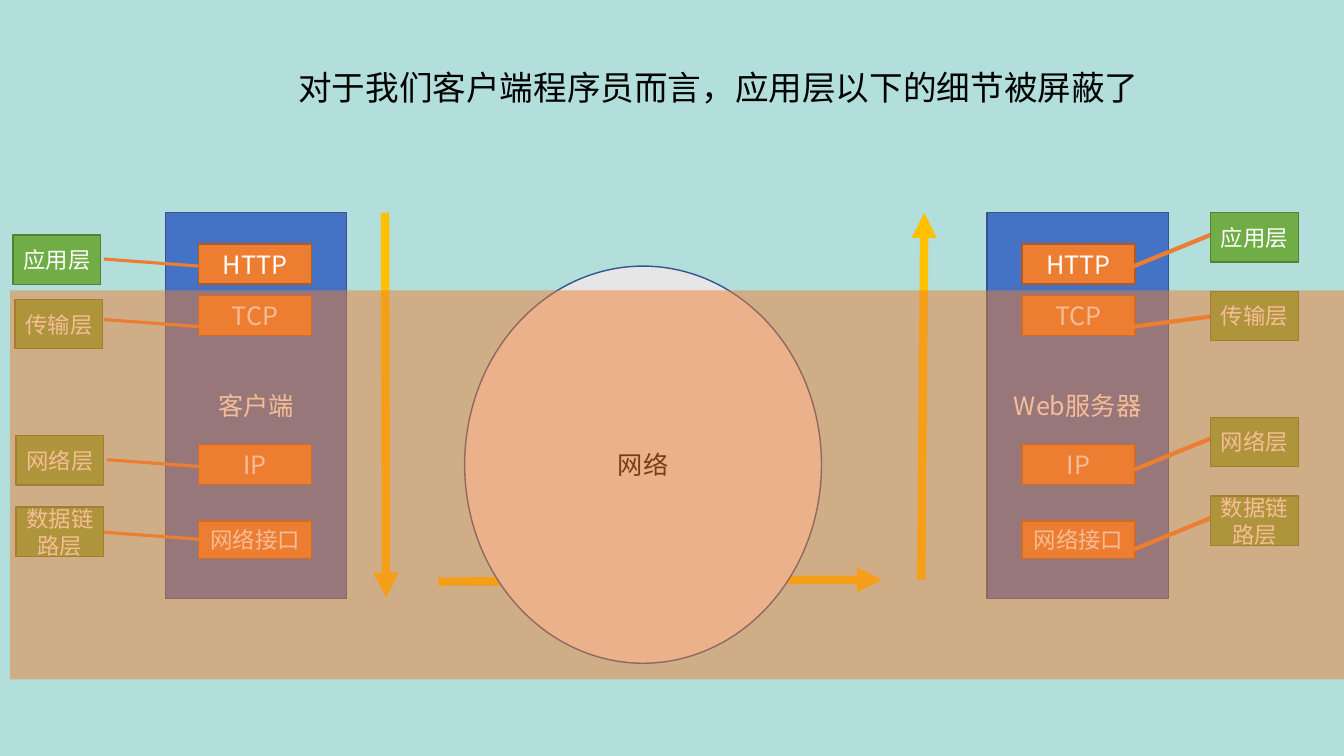
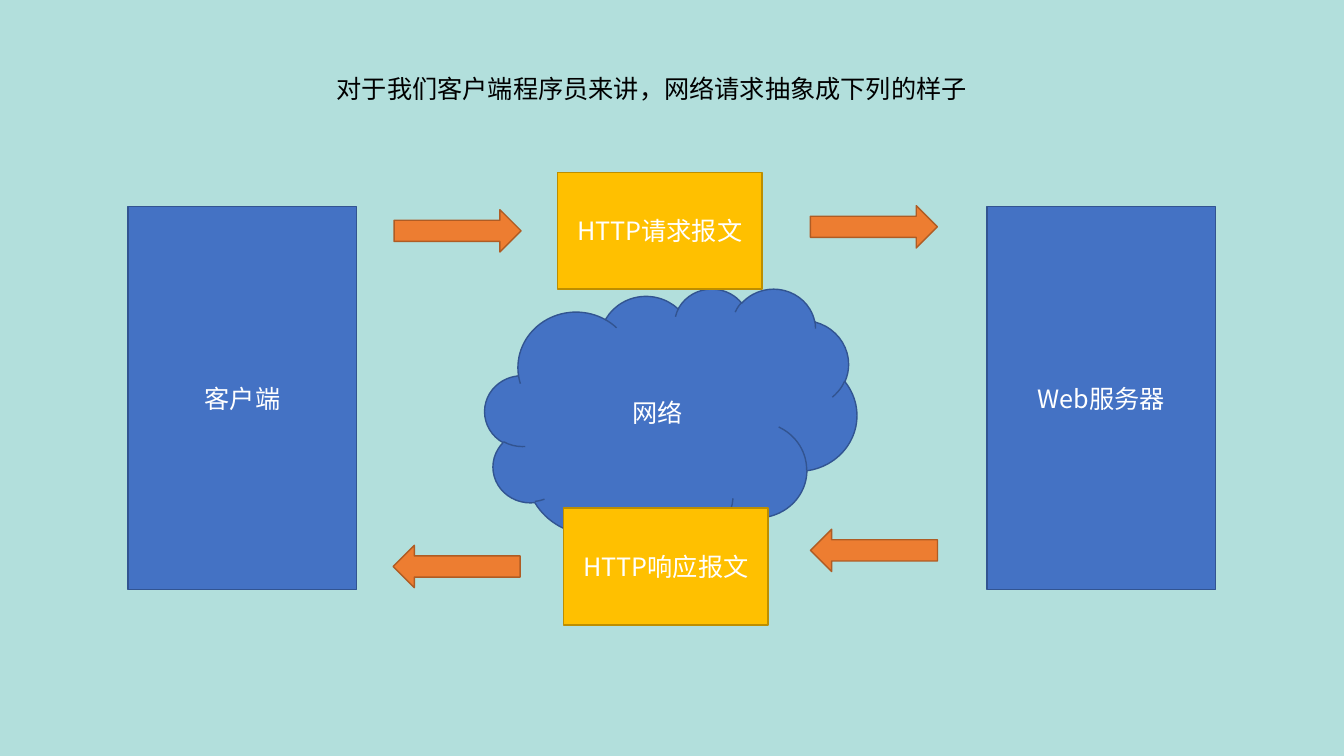
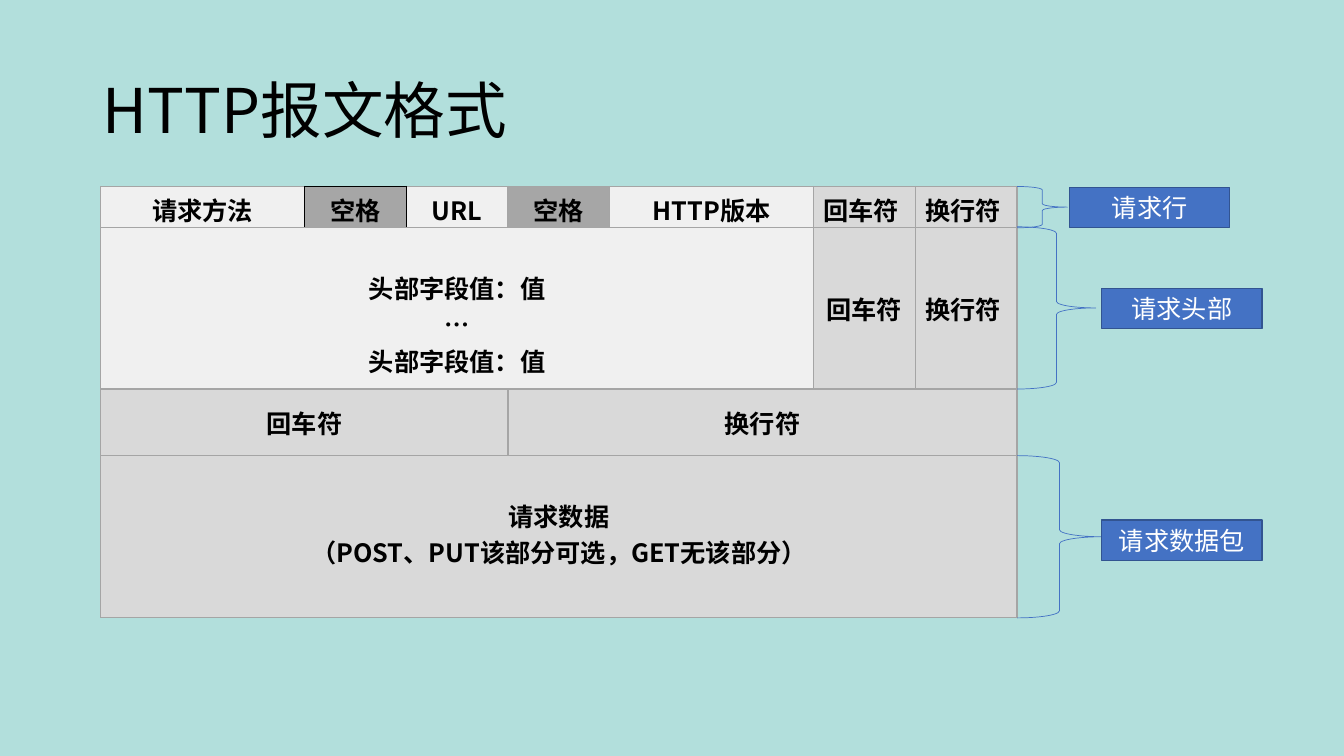
"""Three slides on how a client programmer sees an HTTP request."""
from dataclasses import dataclass
from typing import Any, NamedTuple, Optional

import lxml.etree
import pptx
import pptx.dml.color
import pptx.enum.shapes
import pptx.enum.text
import pptx.oxml.ns
import pptx.util

SHAPE = pptx.enum.shapes.MSO_SHAPE
ALIGN = pptx.enum.text.PP_ALIGN
ANCHOR = pptx.enum.text.MSO_ANCHOR
FIT = pptx.enum.text.MSO_AUTO_SIZE
qn = pptx.oxml.ns.qn

COLUMNS, ROWS = 133.33, 75  # the slide as a grid of square cells
CELL = 0.1  # side of one grid cell, in inches


class Paint(NamedTuple):
    """A fill with its outline; None leaves either out."""
    fill: Optional[str]
    line: Optional[str]
    width: float = 1
    alpha: int = 100


@dataclass(frozen=True)
class Theme:
    """Colours and type sizes shared by the slides."""
    font: str = "Noto Sans CJK SC"
    background: str = "B2DFDC"
    dark: str = "000000"
    light: str = "FFFFFF"
    host: Paint = Paint("4472C4", "325491")
    accent: Paint = Paint("ED7D31", "AF5C24")
    layer: Paint = Paint("70AD47", "538035")
    message: Paint = Paint("FFC000", "BD8E00")
    network: Paint = Paint("E7E6E6", "325491")
    veil: Paint = Paint("ED7D31", None, alpha=50)
    brace: Paint = Paint(None, "4472C4", 0.5)
    border: str = "A5A5A5"
    field: str = "F0F0F0"
    space: str = "A6A6A6"
    ending: str = "D9D9D9"
    small: int = 16
    body: int = 18
    lead: int = 24
    title: int = 44


THEME = Theme()


class Box(NamedTuple):
    """A place on the slide in grid columns and rows."""
    left: float
    top: float
    width: float
    height: float


class Tag(NamedTuple):
    """A layer tag's corner and the two ends of its link to a protocol."""
    left: float
    top: float
    start: tuple[float, float]
    end: tuple[float, float]


class Layer(NamedTuple):
    """A network layer, its protocol and its tags beside both hosts."""
    name: str
    protocol: str
    top: float
    height: float
    size: int
    client: Tag
    server: Tag


class Field(NamedTuple):
    """One cell of the message format."""
    text: str
    width: float
    fill: str = THEME.ending
    align: Any = ALIGN.CENTER
    anchor: Any = ANCHOR.MIDDLE
    edges: dict[str, str] = {}
    top_gap: float = 0.5


class Band(NamedTuple):
    """One row of the message format."""
    top: float
    height: float
    fields: list[Field]


class Part(NamedTuple):
    """A brace beside the message format and the label at its tip."""
    name: str
    brace: Box
    label: tuple[float, float]


def grid(cells: float) -> pptx.util.Length:
    """Turn grid cells into a length."""
    return pptx.util.Inches(cells * CELL)


def rgb(colour: str) -> pptx.dml.color.RGBColor:
    """Turn a hex string into a colour."""
    return pptx.dml.color.RGBColor.from_string(colour)


def apply(target: Any, values: dict[str, Any]) -> None:
    """Set every named attribute on the target."""
    for name, value in values.items():
        setattr(target, name, value)


def place(target: Any, box: Box) -> None:
    """Move a placeholder to a box."""
    apply(target, {name: grid(value) for name, value in box._asdict().items()})


def write(frame: Any, text: str, size: int, colour: str, align: Any,
          bold: bool = False, spacing: Optional[float] = None) -> None:
    """Fill a text frame with evenly formatted paragraphs."""
    frame.text = text
    for paragraph in frame.paragraphs:
        apply(paragraph, {"alignment": align, "line_spacing": spacing})
        for run in paragraph.runs:
            apply(run.font, {"name": THEME.font, "bold": bold,
                             "size": pptx.util.Pt(size)})
            run.font.color.rgb = rgb(colour)


def paint_line(line: Any, colour: str, width: float) -> None:
    """Give a line its colour and width."""
    line.color.rgb = rgb(colour)
    line.width = pptx.util.Pt(width)


def draw(slide: Any, kind: Any, box: Box, paint: Paint, text: str = "",
         size: int = THEME.body, colour: str = THEME.light,
         frame_format: Optional[dict[str, Any]] = None, turn: float = 0) -> None:
    """Draw a preset shape with optional text."""
    shape = slide.shapes.add_shape(kind, *map(grid, box))
    shape.shadow.inherit = False
    shape.rotation = turn
    if paint.fill:
        shape.fill.solid()
        shape.fill.fore_color.rgb = rgb(paint.fill)
    else:
        shape.fill.background()
    if paint.alpha < 100:
        tint = shape.element.spPr.find(qn("a:solidFill"))[0]
        lxml.etree.SubElement(tint, qn("a:alpha"), val=str(paint.alpha * 1000))
    if paint.line:
        paint_line(shape.line, paint.line, paint.width)
    else:
        shape.line.fill.background()
    if text:
        apply(shape.text_frame, {"word_wrap": True, "vertical_anchor": ANCHOR.MIDDLE,
                                 **(frame_format or {})})
        write(shape.text_frame, text, size, colour, ALIGN.CENTER)


def connect(slide: Any, start: tuple[float, float], end: tuple[float, float],
            colour: str, width: float, arrow: bool = False) -> None:
    """Draw a straight line, with an arrowhead at its end if asked."""
    connector = slide.shapes.add_connector(
        pptx.enum.shapes.MSO_CONNECTOR.STRAIGHT, *map(grid, (*start, *end)))
    paint_line(connector.line, colour, width)
    properties = connector.element.spPr
    if arrow:
        lxml.etree.SubElement(properties.find(qn("a:ln")), qn("a:tailEnd"), type="triangle")
    lxml.etree.SubElement(properties, qn("a:effectLst"))


def add_slide(deck: Any, title: str, box: Box, size: int,
              frame_format: dict[str, Any], spacing: Optional[float] = None) -> Any:
    """Add a title-only slide and format its title."""
    slide = deck.slides.add_slide(deck.slide_layouts.get_by_name("Title Only"))
    heading = slide.shapes.title
    place(heading, box)
    apply(heading.text_frame, frame_format)
    write(heading.text_frame, title, size, THEME.dark, ALIGN.LEFT, spacing=spacing)
    return slide


def border(cell: Any, edges: dict[str, str]) -> None:
    """Draw the four borders of a cell; edges names the exceptions."""
    properties = cell._tc.get_or_add_tcPr()
    for side in "LRTB":
        line = lxml.etree.SubElement(properties, qn(f"a:ln{side}"),
                                     w=str(pptx.util.Pt(1)))
        fill = lxml.etree.SubElement(line, qn("a:solidFill"))
        lxml.etree.SubElement(fill, qn("a:srgbClr"), val=edges.get(side, THEME.border))


def draw_band(slide: Any, left: float, band: Band) -> None:
    """Draw one row of the message format as a table."""
    width = sum(field.width for field in band.fields)
    table = slide.shapes.add_table(
        1, len(band.fields), *map(grid, (left, band.top, width, band.height))).table
    apply(table, {"first_row": False, "horz_banding": False})
    for index, field in enumerate(band.fields):
        table.columns[index].width = grid(field.width)
        cell = table.cell(0, index)
        border(cell, field.edges)
        cell.fill.solid()
        cell.fill.fore_color.rgb = rgb(field.fill)
        apply(cell, {"vertical_anchor": field.anchor, "margin_top": grid(field.top_gap)})
        write(cell.text_frame, field.text, THEME.body, THEME.dark, field.align, bold=True)


def set_east_asian_font(slide: Any) -> None:
    """Use the theme font for Chinese characters too."""
    for latin in list(slide.element.iter(qn("a:latin"))):
        east_asian = latin.makeelement(qn("a:ea"), {"typeface": THEME.font})
        latin.addnext(east_asian)


LEAD_FORMAT = {"word_wrap": False, "auto_size": FIT.SHAPE_TO_FIT_TEXT,
               "vertical_anchor": ANCHOR.TOP}
TITLE_FORMAT = {"word_wrap": True, "auto_size": FIT.NONE,
                "vertical_anchor": ANCHOR.MIDDLE}
PROTOCOL_FORMAT = {"auto_size": FIT.SHAPE_TO_FIT_TEXT, "vertical_anchor": ANCHOR.TOP}

CLIENT, SERVER, NETWORK = "客户端", "Web服务器", "网络"

LAYERS = [
    Layer("应用层", "HTTP", 24.2, 4, THEME.body,
          Tag(1.3, 23.3, (19.7, 26.4), (10.3, 25.7)),
          Tag(120.1, 21.1, (112.5, 26.4), (120.1, 23.3))),
    Layer("传输层", "TCP", 29.3, 4, THEME.body,
          Tag(1.5, 29.7, (19.7, 32.4), (10.3, 31.7)),
          Tag(120.1, 28.9, (112.5, 32.4), (120.1, 31.4))),
    Layer("网络层", "IP", 44.1, 4, THEME.body,
          Tag(1.6, 43.2, (20, 46.3), (10.6, 45.6)),
          Tag(120.1, 41.4, (112.5, 46.6), (120.1, 43.5))),
    Layer("数据链路层", "网络接口", 51.7, 3.7, THEME.small,
          Tag(1.6, 50.3, (19.8, 53.5), (10.3, 52.8)),
          Tag(120.1, 49.2, (112.5, 54.5), (120.1, 51.4))),
]

FLOWS = [((38.2, 21.1), (38.3, 59.3)),
         ((43.5, 57.7), (87.5, 57.5)),
         ((91.4, 57.5), (91.7, 21.1))]

UNIT = 10.1  # narrowest field of the message format
FORMAT_LEFT = 10
FORMAT_RIGHT = FORMAT_LEFT + 9 * UNIT
CR, LF, SPACE, HEADER = "回车符", "换行符", "空格", "头部字段值：值"
BLACK_BOX = {side: THEME.dark for side in "LRTB"}

BANDS = [
    Band(18.5, 4.1, [
        Field("请求方法", 2 * UNIT, THEME.field, anchor=ANCHOR.TOP, edges={"R": THEME.dark}),
        Field(SPACE, UNIT, THEME.space, anchor=ANCHOR.TOP, edges=BLACK_BOX),
        Field("URL", UNIT, THEME.field, anchor=ANCHOR.TOP, edges={"L": THEME.dark}),
        Field(SPACE, UNIT, THEME.space, anchor=ANCHOR.TOP),
        Field("HTTP版本", 2 * UNIT, THEME.field, anchor=ANCHOR.TOP),
        Field(CR, UNIT, align=ALIGN.LEFT, anchor=ANCHOR.TOP),
        Field(LF, UNIT, align=ALIGN.LEFT, anchor=ANCHOR.TOP)]),
    Band(22.6, 16, [
        Field(f"{HEADER}\n…\n{HEADER}", 7 * UNIT, THEME.field,
              anchor=ANCHOR.TOP, top_gap=4.1),
        Field(CR, UNIT),
        Field(LF, UNIT, align=ALIGN.LEFT)]),
    Band(38.6, 6.6, [Field(CR, 4 * UNIT), Field(LF, 5 * UNIT)]),
    Band(45.2, 16.1, [
        Field("请求数据\n（POST、PUT该部分可选，GET无该部分）", 9 * UNIT,
              anchor=ANCHOR.TOP, top_gap=4.1)]),
]

PARTS = [
    Part("请求行", Box(FORMAT_RIGHT, 18.5, 5, 4.1), (106.1, 18.6)),
    Part("请求头部", Box(FORMAT_RIGHT, 22.5, 7.8, 16.1), (109.3, 28.6)),
    Part("请求数据包", Box(FORMAT_RIGHT, 45.2, 8.4, 16.1), (109.3, 51.6)),
]


def build_layers(deck: Any) -> None:
    """Build the slide on the layers hidden below the application."""
    slide = add_slide(deck, "对于我们客户端程序员而言，应用层以下的细节被屏蔽了",
                      Box(28.6, 6.1, 86.2, 5), THEME.lead, LEAD_FORMAT)
    for host, left in ((CLIENT, 16.4), (SERVER, 97.9)):
        draw(slide, SHAPE.RECTANGLE, Box(left, 21.1, 18, 38.3), THEME.host, host)
    for protocol_left, side, width in ((19.7, "client", 2.25), (101.4, "server", 3)):
        for layer in LAYERS:
            tag = getattr(layer, side)
            draw(slide, SHAPE.RECTANGLE, Box(protocol_left, layer.top, 11.2, layer.height),
                 THEME.accent, layer.protocol, layer.size, frame_format=PROTOCOL_FORMAT)
            connect(slide, tag.start, tag.end, THEME.accent.fill, width)
            draw(slide, SHAPE.RECTANGLE, Box(tag.left, tag.top, 8.7, 4.9),
                 THEME.layer, layer.name, THEME.small)
    for start, end in FLOWS:
        connect(slide, start, end, THEME.message.fill, 6, arrow=True)
    draw(slide, SHAPE.OVAL, Box(46.1, 26.4, 35.4, 39.4), THEME.network, NETWORK,
         colour=THEME.dark)
    draw(slide, SHAPE.RECTANGLE, Box(1, 28.8, COLUMNS - 1, 38.6), THEME.veil)


def build_exchange(deck: Any) -> None:
    """Build the slide on requests and responses."""
    slide = add_slide(deck, "对于我们客户端程序员来讲，网络请求抽象成下列的样子",
                      Box(32.4, 6.8, 67.1, 4), THEME.body, LEAD_FORMAT)
    for host, left in ((CLIENT, 12.7), (SERVER, 97.9)):
        draw(slide, SHAPE.RECTANGLE, Box(left, 20.5, 22.7, 38), THEME.host, host)
    draw(slide, SHAPE.CLOUD, Box(48.1, 28.6, 36.9, 25.9), THEME.host, NETWORK)
    for left, top, turn in ((39.1, 20.8, 0), (80.4, 20.4, 0),
                            (80.4, 52.5, 180), (39, 54.1, 180)):
        draw(slide, SHAPE.RIGHT_ARROW, Box(left, top, 12.6, 4.2), THEME.accent, turn=turn)
    for message, left, top in (("HTTP请求报文", 55.3, 17.1), ("HTTP响应报文", 55.9, 50.4)):
        draw(slide, SHAPE.RECTANGLE, Box(left, top, 20.3, 11.6), THEME.message, message)


def build_format(deck: Any) -> None:
    """Build the slide on the message format."""
    slide = add_slide(deck, "HTTP报文格式", Box(9.2, 4, 115, 14.5), THEME.title,
                      TITLE_FORMAT, spacing=0.9)
    for band in BANDS:
        draw_band(slide, FORMAT_LEFT, band)
    for part in PARTS:
        draw(slide, SHAPE.RIGHT_BRACE, part.brace, THEME.brace)
        draw(slide, SHAPE.RECTANGLE, Box(*part.label, 15.9, 4), THEME.host, part.name)


def main() -> None:
    """Build and save the deck."""
    deck = pptx.Presentation()
    apply(deck, {"slide_width": grid(COLUMNS), "slide_height": grid(ROWS)})
    backdrop = deck.slide_master.background.fill
    backdrop.solid()
    backdrop.fore_color.rgb = rgb(THEME.background)
    for build in (build_layers, build_exchange, build_format):
        build(deck)
    for slide in deck.slides:
        set_east_asian_font(slide)
    deck.save("out.pptx")


main()
